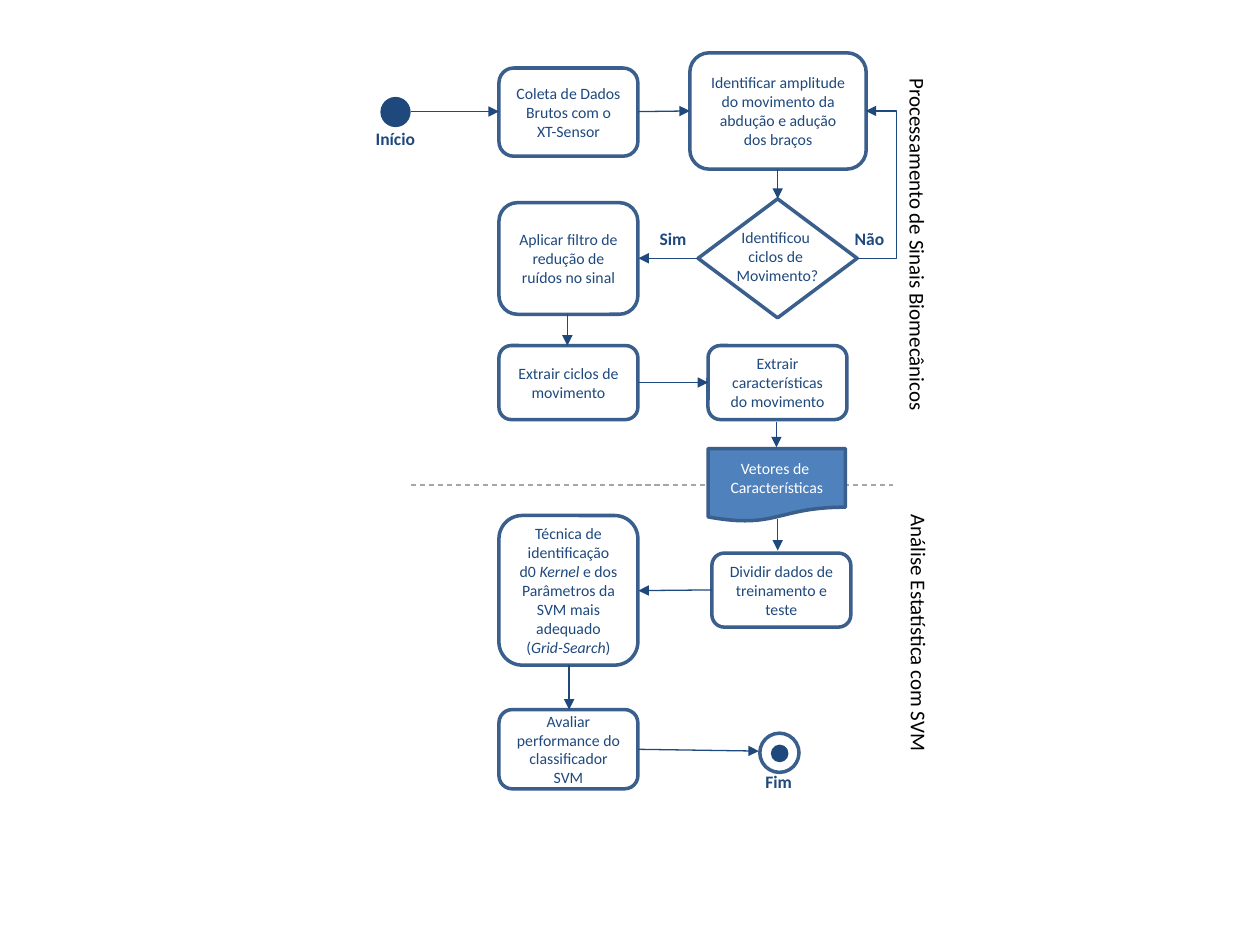
"""Build the flowchart of the biomechanical signal and SVM analysis."""
from dataclasses import dataclass

from lxml import etree
from pptx import Presentation
from pptx import util as u
from pptx.dml.color import RGBColor
from pptx.enum import dml, shapes, text
from pptx.oxml import ns

COLORS = {"navy": "1F497D", "edge": "3A5F8C", "blue": "4F81BD",
          "white": "FFFFFF", "gray": "A6A6A6", "black": "000000"}
KIND = shapes.MSO_SHAPE
LEFT_COLUMN, BOX_WIDTH = 285.1, 79.4


@dataclass
class Node:
    left: float
    top: float
    width: float
    height: float
    words: str = ""
    kind: KIND = KIND.ROUNDED_RECTANGLE
    fill: str = "white"
    edge: str = "edge"
    ink: str = "navy"


@dataclass
class Label:
    left: float
    top: float
    width: float
    height: float
    words: str
    size: float = 10
    bold: bool = True
    ink: str = "navy"
    turn: float = 0
    align: text.PP_ALIGN = text.PP_ALIGN.CENTER


@dataclass
class Link:
    x1: float
    y1: float
    x2: float
    y2: float
    ink: str = "navy"
    arrow: str = "tailEnd"
    bend: int = 0


DIVIDER = Link(234.7, 277.2, 510.5, 277.2, "gray", "")

NODES = [
    Node(217.4, 55.4, 17.3, 17.3, "", KIND.OVAL, "navy", ""),
    Node(LEFT_COLUMN, 38.9, BOX_WIDTH, 50.4, "Coleta de Dados Brutos com o\nXT-Sensor"),
    Node(394.2, 30.2, 100.8, 66.5,
         "Identificar amplitude do movimento da abdução e adução dos braços"),
    Node(398.9, 113.6, 90.9, 68, "", KIND.DIAMOND),
    Node(LEFT_COLUMN, 115.8, BOX_WIDTH, 63.8, "Aplicar filtro de redução de ruídos no sinal"),
    Node(LEFT_COLUMN, 197.5, BOX_WIDTH, 42.3, "Extrair ciclos de\vmovimento"),
    Node(404.6, 197.5, BOX_WIDTH, 42.3, "Extrair características do movimento"),
    Node(404.6, 256.3, 78.5, 41.8, "Vetores de \nCaracterísticas",
         KIND.FLOWCHART_DOCUMENT, "blue", ink="white"),
    Node(406.8, 316.1, BOX_WIDTH, 42.3, "Dividir dados de treinamento e teste"),
    Node(LEFT_COLUMN, 294.6, BOX_WIDTH, 85.5,
         "Técnica de identificação d0 *Kernel* e dos Parâmetros da SVM mais "
         "adequado (*Grid-Search*)"),
    Node(LEFT_COLUMN, 405.5, BOX_WIDTH, 45.3, "Avaliar performance do classificador SVM"),
    Node(434.2, 419, 22.4, 22.4, "", KIND.FLOWCHART_CONNECTOR),
    Node(440.5, 425.5, 10.1, 10.1, "", KIND.OVAL, "navy", ""),
]

LINKS = [
    Link(234.7, 63.7, 285.1, 63.7),
    Link(364.8, 63.8, 394.2, 63.4),
    Link(444.4, 96.7, 444.4, 113.6),
    Link(398.9, 147.6, 364.8, 147.6),
    Link(494.8, 63.4, 489.8, 147.6, arrow="headEnd", bend=-349200),
    Link(324.2, 179.5, 324.2, 197.5),
    Link(364.8, 218.6, 404.6, 218.6),
    Link(443.7, 241.2, 443.7, 255.6),
    Link(444.4, 296.6, 444.4, 314.6),
    Link(406.8, 337.1, 364.8, 337.5),
    Link(325.2, 380.1, 325.2, 405.5),
    Link(364.8, 428.2, 433.6, 429.2),
]

LABELS = [
    Label(207.2, 69.4, 37.4, 19.4, "Início"),
    Label(369.4, 126.7, 30.2, 19.4, "Sim"),
    Label(481, 126.7, 31.7, 19.4, "Não"),
    Label(429.8, 437, 30.2, 19.4, "Fim"),
    Label(413.3, 126.7, 61.9, 40.3, "Identificou \nciclos de \nMovimento?", 9, False),
    Label(421.2, 130.3, 206.6, 21.6, "Processamento de Sinais Biomecânicos",
          12, False, "black", 90, text.PP_ALIGN.LEFT),
    Label(449.3, 352.1, 151.9, 21.6, "Análise Estatística com SVM",
          12, False, "black", 90, text.PP_ALIGN.LEFT),
]


def rgb(name: str) -> RGBColor:
    return RGBColor.from_string(COLORS[name])


def frame_of(item: Node | Label) -> list[u.Pt]:
    return [u.Pt(value) for value in (item.left, item.top, item.width, item.height)]


def write(frame, words: str, size: float, ink: str, bold: bool, align: text.PP_ALIGN) -> None:
    for index, line in enumerate(words.split("\n")):
        para = frame.add_paragraph() if index else frame.paragraphs[0]
        para.alignment = align
        start, *rest = line.split("*")
        para.text = start
        for position, piece in enumerate(rest):
            span = para.add_run()
            span.text = piece
            span.font.italic = position % 2 == 0
        for span in para.runs:
            span.font.name = "Calibri"
            span.font.size = u.Pt(size)
            span.font.bold = bold
            span.font.color.rgb = rgb(ink)


def draw_node(page, node: Node) -> None:
    box = page.shapes.add_shape(node.kind, *frame_of(node))
    box.shadow.inherit = False
    box.fill.solid()
    box.fill.fore_color.rgb = rgb(node.fill)
    if node.edge:
        box.line.color.rgb = rgb(node.edge)
        box.line.width = u.Pt(2)
    else:
        box.line.fill.background()
    if node.words:
        box.text_frame.word_wrap = True
        box.text_frame.vertical_anchor = text.MSO_ANCHOR.MIDDLE
        write(box.text_frame, node.words, 9, node.ink, False, text.PP_ALIGN.CENTER)


def draw_label(page, label: Label) -> None:
    box = page.shapes.add_textbox(*frame_of(label))
    box.rotation = label.turn
    box.text_frame.word_wrap = False
    box.text_frame.auto_size = text.MSO_AUTO_SIZE.SHAPE_TO_FIT_TEXT
    write(box.text_frame, label.words, label.size, label.ink, label.bold, label.align)


def draw_link(page, link: Link) -> None:
    kind = shapes.MSO_CONNECTOR.ELBOW if link.bend else shapes.MSO_CONNECTOR.STRAIGHT
    ends = [u.Pt(value) for value in (link.x1, link.y1, link.x2, link.y2)]
    line = page.shapes.add_connector(kind, *ends)
    line.line.color.rgb = rgb(link.ink)
    line.line.width = u.Pt(0.75)
    properties = line._element.spPr
    if link.arrow:
        etree.SubElement(line.line._get_or_add_ln(), ns.qn(f"a:{link.arrow}"), type="triangle")
    else:
        line.line.dash_style = dml.MSO_LINE.DASH
    if link.bend:
        guides = properties.find(ns.qn("a:prstGeom")).get_or_add_avLst()
        etree.SubElement(guides, ns.qn("a:gd"), name="adj1", fmla=f"val {link.bend}")
    etree.SubElement(properties, ns.qn("a:effectLst"))


def main() -> None:
    deck = Presentation()
    deck.slide_width, deck.slide_height = u.Pt(720), u.Pt(540)
    page = deck.slides.add_slide(deck.slide_layouts[6])
    draw_link(page, DIVIDER)
    for node in NODES:
        draw_node(page, node)
    for link in LINKS:
        draw_link(page, link)
    for label in LABELS:
        draw_label(page, label)
    deck.save("out.pptx")


main()
